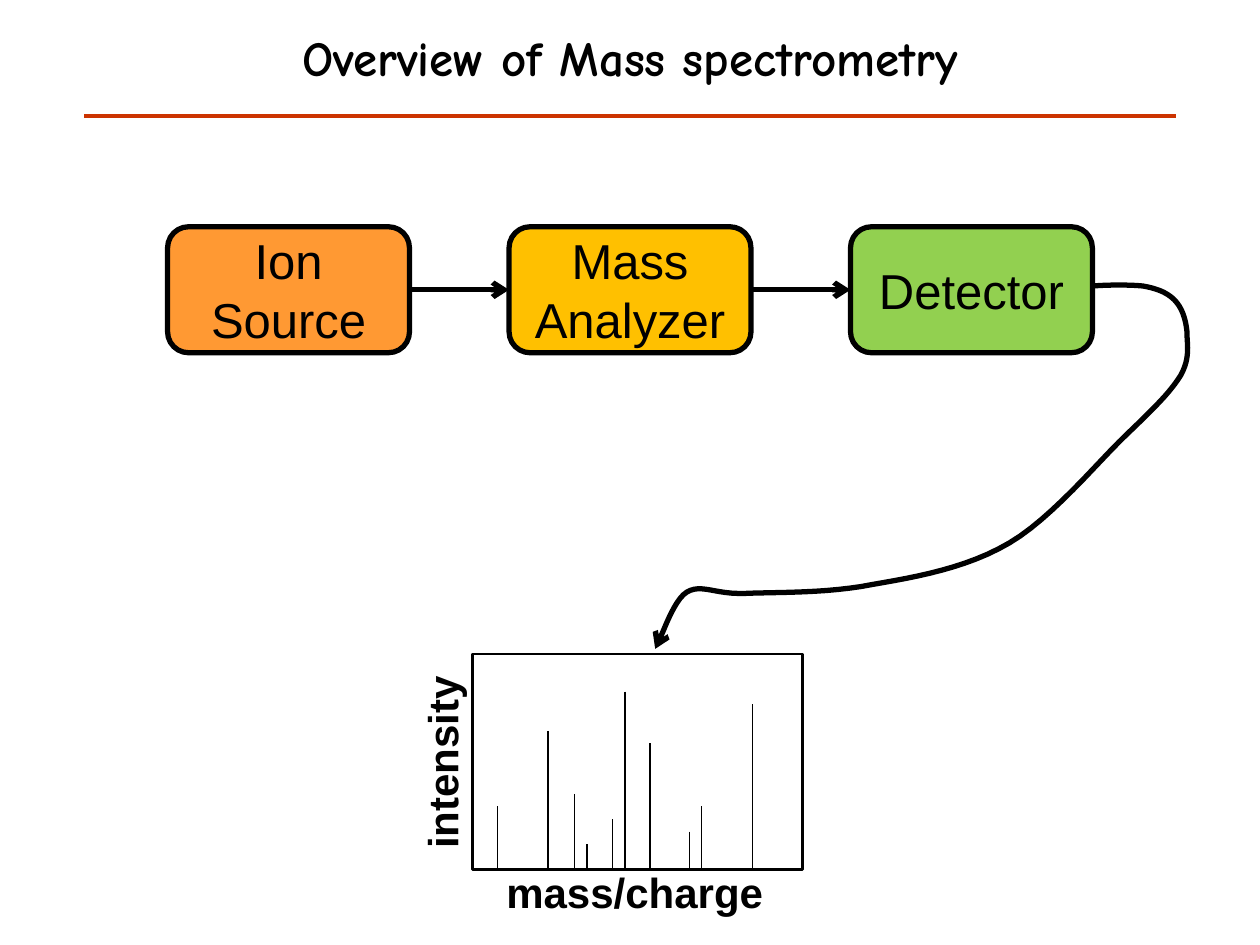
"""Build the mass spectrometry overview slide."""
import dataclasses

import pptx
import pptx.dml.color
import pptx.enum.shapes
import pptx.enum.text
import pptx.oxml
import pptx.oxml.ns
import pptx.util

SCALE = 9144
SHAPE = pptx.enum.shapes.MSO_SHAPE
ALIGN = pptx.enum.text.PP_ALIGN
ANCHOR = pptx.enum.text.MSO_ANCHOR
FIT = pptx.enum.text.MSO_AUTO_SIZE
LEFT_SIDE, RIGHT_SIDE = 1, 3


def emu(*lengths):
    return [round(length * SCALE) for length in lengths]


@dataclasses.dataclass(frozen=True)
class Theme:
    ink: str = "000000"
    paper: str = "FFFFFF"
    rule: str = "CC3300"
    source: str = "FF9933"
    analyzer: str = "FFC000"
    detector: str = "92D050"
    body_font: str = "Arial"
    title_font: str = "Comic Neue"
    large: int = 28
    medium: int = 24
    hairline: float = 0.75
    frame: float = 1.5
    rule_width: float = 2.5
    heavy: int = 3


class Painter:
    def __init__(self, slide, theme):
        self.slide = slide
        self.theme = theme

    def apply(self, target, values):
        for name, value in values.items():
            setattr(target, name, value)

    def color(self, code):
        return pptx.dml.color.RGBColor.from_string(code)

    def stroke(self, shape, width, code=None, arrow=False):
        shape.line.color.rgb = self.color(code or self.theme.ink)
        shape.line.width = pptx.util.Pt(width)
        if arrow:
            line = shape._element.spPr.find(pptx.oxml.ns.qn("a:ln"))
            line.append(pptx.oxml.parse_xml(
                f'<a:tailEnd {pptx.oxml.ns.nsdecls("a")} type="arrow"/>'))

    def put_text(self, shape, words, frame_values, size, font=None, bold=False, align=None):
        frame = shape.text_frame
        self.apply(frame, frame_values)
        para = frame.paragraphs[0]
        para.alignment = align
        span = para.add_run()
        span.text = words
        self.apply(span.font, {
            "name": font or self.theme.body_font,
            "size": pptx.util.Pt(size),
            "bold": bold,
        })
        span.font.color.rgb = self.color(self.theme.ink)

    def title(self, words, area):
        box = self.slide.shapes.add_textbox(*emu(*area))
        self.put_text(box, words, {"word_wrap": True, "vertical_anchor": ANCHOR.MIDDLE},
                      self.theme.large, self.theme.title_font, True, ALIGN.CENTER)

    def label(self, words, area, rotation=0):
        box = self.slide.shapes.add_textbox(*emu(*area))
        box.rotation = rotation
        self.put_text(box, words, {"word_wrap": False, "auto_size": FIT.SHAPE_TO_FIT_TEXT},
                      self.theme.medium, bold=True)

    def block(self, kind, area, fill, width, holder=None):
        shape = (holder or self.slide).shapes.add_shape(kind, *emu(*area))
        shape.shadow.inherit = False
        shape.fill.solid()
        shape.fill.fore_color.rgb = self.color(fill)
        self.stroke(shape, width)
        return shape

    def stage(self, words, area, fill):
        box = self.block(SHAPE.ROUNDED_RECTANGLE, area, fill, self.theme.heavy)
        self.put_text(box, words, {"word_wrap": True, "vertical_anchor": ANCHOR.MIDDLE},
                      self.theme.large, align=ALIGN.CENTER)
        return box

    def line(self, ends, width, code=None, holder=None, arrow=False):
        connector = (holder or self.slide).shapes.add_connector(
            pptx.enum.shapes.MSO_CONNECTOR.STRAIGHT, *emu(*ends))
        self.stroke(connector, width, code, arrow)
        connector._element.spPr.append(
            pptx.oxml.parse_xml(f'<a:effectLst {pptx.oxml.ns.nsdecls("a")}/>'))
        return connector

    def link(self, first, second):
        arrow = self.line((0, 0, 0, 0), self.theme.heavy, arrow=True)
        arrow.begin_connect(first, RIGHT_SIDE)
        arrow.end_connect(second, LEFT_SIDE)

    def curve(self, start, bends, steps=12):
        points = []
        here = start
        for bend in bends:
            corners = (here, *bend)
            for step in range(1, steps + 1):
                t = step / steps
                weights = ((1 - t) ** 3, 3 * t * (1 - t) ** 2, 3 * t * t * (1 - t), t ** 3)
                points.append(emu(*(sum(weight * corner[axis]
                                        for weight, corner in zip(weights, corners))
                                    for axis in (0, 1))))
            here = bend[-1]
        builder = self.slide.shapes.build_freeform(*emu(*start))
        builder.add_line_segments(points, close=False)
        shape = builder.convert_to_shape()
        shape.shadow.inherit = False
        shape.fill.background()
        self.stroke(shape, self.theme.heavy, arrow=True)

    def spectrum(self, area, peaks):
        group = self.slide.shapes.add_group_shape()
        self.block(SHAPE.RECTANGLE, area, self.theme.paper, self.theme.frame, group)
        base = area[1] + area[3]
        for x, top in peaks:
            self.line((x, top, x, base), self.theme.hairline, holder=group)


def main():
    theme = Theme()
    deck = pptx.Presentation()
    deck.slide_width, deck.slide_height = emu(1000, 750)
    page = deck.slides.add_slide(deck.slide_layouts[6])
    painter = Painter(page, theme)

    painter.title("Overview of Mass spectrometry", (0, 8, 1000, 75))
    painter.line((67, 92, 933, 92), theme.rule_width, theme.rule)

    stages = (("Ion Source", theme.source), ("Mass Analyzer", theme.analyzer),
              ("Detector", theme.detector))
    boxes = [painter.stage(words, (133 + 271 * index, 180, 192, 100), fill)
             for index, (words, fill) in enumerate(stages)]
    for first, second in zip(boxes, boxes[1:]):
        painter.link(first, second)

    peaks = ((395, 640), (435, 580), (456, 630), (466, 670), (486, 650),
             (496, 549), (516, 590), (547, 660), (557, 640), (597, 559))
    painter.spectrum((375, 519, 262, 171), peaks)
    painter.label("mass/charge", (392, 683, 226, 50))
    painter.label("intensity", (271, 579, 159, 50), 270)

    painter.curve((867, 227), (
        ((881, 226), (896, 226), (907, 227)),
        ((918, 229), (926, 232), (932, 238)),
        ((938, 244), (941, 253), (942, 263)),
        ((942, 273), (945, 284), (937, 298)),
        ((929, 311), (917, 323), (894, 345)),
        ((871, 367), (835, 411), (801, 431)),
        ((767, 451), (727, 458), (692, 464)),
        ((657, 471), (616, 470), (592, 471)),
        ((567, 472), (557, 463), (545, 470)),
        ((534, 477), (526, 504), (520, 515)),
    ))
    deck.save("out.pptx")


if __name__ == "__main__":
    main()
